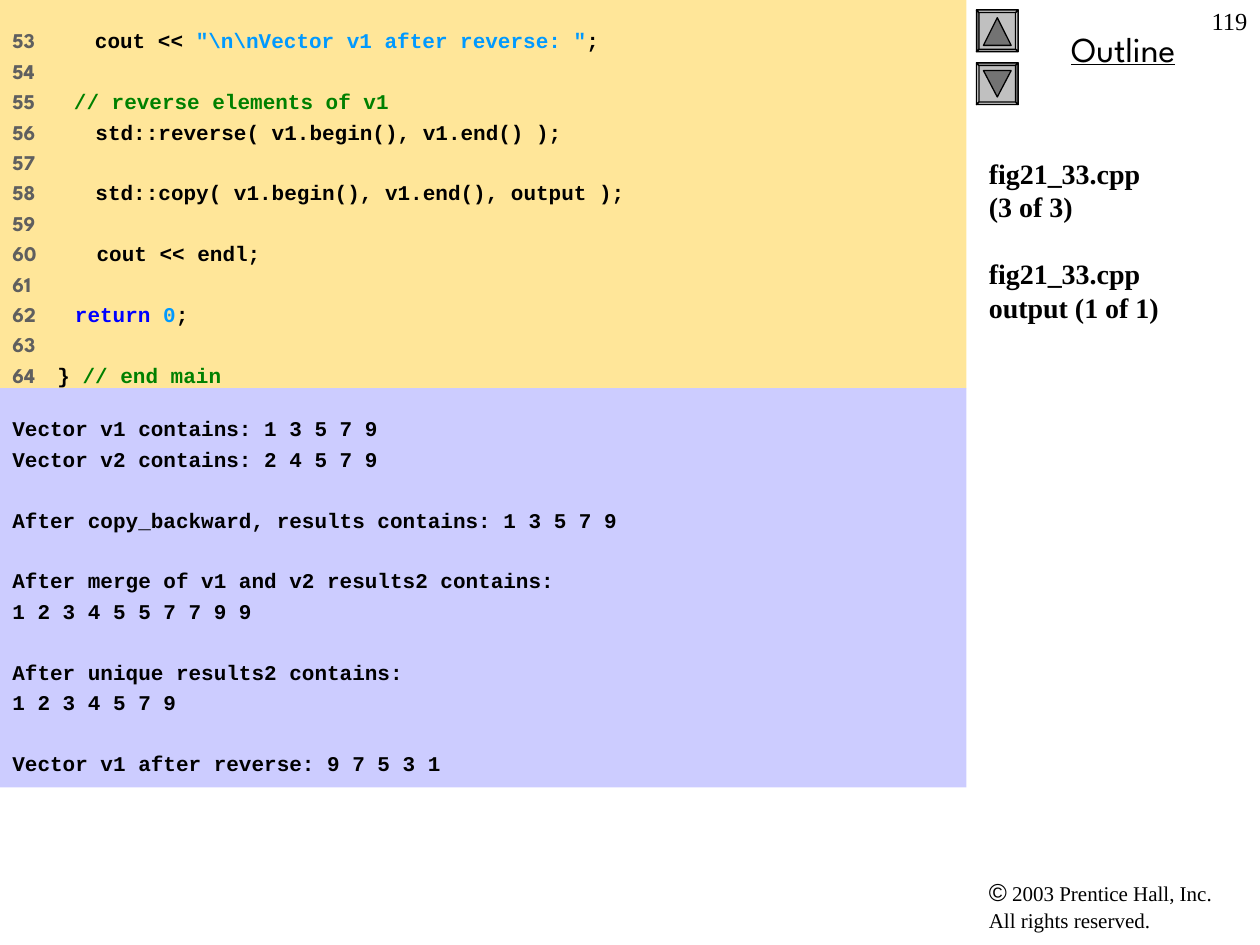
from pptx import Presentation
from pptx.dml.color import RGBColor
from pptx.enum.shapes import MSO_SHAPE
from pptx.enum.text import MSO_ANCHOR, PP_ALIGN
from pptx.util import Inches, Pt

RECT = MSO_SHAPE.RECTANGLE
TOP = MSO_ANCHOR.TOP
LEFT, MID, RIGHT = PP_ALIGN.LEFT, PP_ALIGN.CENTER, PP_ALIGN.RIGHT

BLACK = RGBColor(0x00, 0x00, 0x00)
GRAY = RGBColor(0x5F, 0x5F, 0x5F)
GREEN = RGBColor(0x00, 0x80, 0x00)
BLUE = RGBColor(0x00, 0x00, 0xFF)
SKY = RGBColor(0x00, 0x99, 0xFF)
SAND = RGBColor(0xFF, 0xE6, 0x99)
LILAC = RGBColor(0xCC, 0xCC, 0xFF)
SILVER = RGBColor(0xC0, 0xC0, 0xC0)
DARK = RGBColor(0x73, 0x73, 0x73)
# Bevel shades, clockwise from the lit side
SHADES = (RGBColor(0xD9, 0xD9, 0xD9), RGBColor(0x9A, 0x9A, 0x9A),
          DARK, RGBColor(0xCC, 0xCC, 0xCC))

MONO, SANS, SERIF, HEAD = "Courier New", "Arial", "Times New Roman", "League Spartan"
PITCH = 17.4


def num(text):
    return text, HEAD, GRAY


def code(text, color=BLACK):
    return text, MONO, color


CODE = [
    [num("53    "), code("   cout << "),
     code('"\\n\\nVector v1 after reverse: "', SKY), code(";")],
    [num("54")],
    [num("55       "), code("// reverse elements of v1", GREEN)],
    [num("56    "), code("   std::reverse( v1.begin(), v1.end() );")],
    [num("57")],
    [num("58    "), code("   std::copy( v1.begin(), v1.end(), output );")],
    [num("59")],
    [num("60    "), code("   cout << endl;")],
    [num("61")],
    [num("62       "), code("return ", BLUE), code("0", SKY), code(";")],
    [num("63")],
    [num("64    "), code("} "), code("// end main", GREEN)],
]

# Each group is set off by one empty line
OUTPUT = [
    ["Vector v1 contains: 1 3 5 7 9", "Vector v2 contains: 2 4 5 7 9"],
    ["After copy_backward, results contains: 1 3 5 7 9"],
    ["After merge of v1 and v2 results2 contains:", "1 2 3 4 5 5 7 7 9 9"],
    ["After unique results2 contains:", "1 2 3 4 5 7 9"],
    ["Vector v1 after reverse: 9 7 5 3 1"],
]


class Page:
    def __init__(self, deck):
        self.slide = deck.slides.add_slide(deck.slide_layouts[6])
        self.shapes = self.slide.shapes

    def paint(self, shape, fill, line=None):
        shape.shadow.inherit = False
        shape.fill.solid()
        shape.fill.fore_color.rgb = fill
        if line is None:
            shape.line.fill.background()
        else:
            shape.line.color.rgb = line
            shape.line.width = Pt(0.75)

    def panel(self, *box, fill):
        shape = self.shapes.add_shape(RECT, *map(Inches, box))
        self.paint(shape, fill)
        return shape

    def box(self, *box):
        return self.shapes.add_textbox(*map(Inches, box))

    def text(self, shape, rows, size=12, bold=False, line=False, align=LEFT,
             pad=0.05, pitch=None, gaps=()):
        """Fill a shape with rows of (text, font, colour); gaps lists rows after a blank line."""
        frame = shape.text_frame
        frame.word_wrap = True
        frame.vertical_anchor = TOP
        frame.margin_top = Inches(pad)
        for i, row in enumerate(rows):
            para = frame.paragraphs[0] if i == 0 else frame.add_paragraph()
            para.alignment = align
            if pitch:
                para.line_spacing = Pt(pitch)
            if i in gaps:
                para.space_before = Pt(pitch)
            for words, face, color, *own in row:
                for k, part in enumerate(words.split("\n")):
                    if k:
                        para.add_line_break()
                    run = para.add_run()
                    run.text = part
                    font = run.font
                    font.name, font.bold, font.underline = face, bold, line
                    font.size = Pt(own[0] if own else size)
                    font.color.rgb = color

    def shape(self, points, fill):
        spots = [(Inches(x), Inches(y)) for x, y in points]
        path = self.shapes.build_freeform(*spots[0])
        path.add_line_segments(spots[1:], close=True)
        self.paint(path.convert_to_shape(), fill, BLACK)

    def button(self, x, y, up):
        """Draw a bevelled square with an arrow pointing up or down."""
        side, rim = 0.33, 0.02

        def ring(d):
            a, b = d, side - d
            return [(x + u, y + v) for u, v in ((a, a), (b, a), (b, b), (a, b))]

        outer, inner = ring(0), ring(rim)
        self.shape(outer, SILVER)
        lit = 1 if up else 3
        for i, shade in enumerate(SHADES):
            j = (lit + i) % 4
            k = (j + 1) % 4
            self.shape([outer[j], outer[k], inner[k], inner[j]], shade)
        tip, base = (0.06, 0.28) if up else (0.27, 0.06)
        mid = x + side / 2
        self.shape([(mid, y + tip), (mid + 0.11, y + base), (mid - 0.11, y + base)], DARK)


def main():
    deck = Presentation()
    deck.slide_width, deck.slide_height = Inches(10), Inches(7.5)
    page = Page(deck)

    page.text(page.box(7.75, 6.92, 2.17, 0.54),
              [[("©", SANS, BLACK, 14),
                (" 2003 Prentice Hall, Inc.\nAll rights reserved.", SERIF, BLACK)]],
              pad=0.07, pitch=14.9)
    page.text(page.box(7.83, 0.17, 2.17, 0.44), [[("Outline", HEAD, BLACK)]],
              size=20, line=True, align=MID)
    page.button(7.75, 0.08, up=True)
    page.button(7.75, 0.5, up=False)
    page.text(page.box(9.5, 0, 0.5, 0.5), [[("119", SERIF, BLACK)]],
              size=14, align=RIGHT)
    page.text(page.box(7.75, 0.92, 2.25, 5.25),
              [[("fig21_33.cpp\n(3 of 3)", SERIF, BLACK)],
               [("fig21_33.cpp\noutput (1 of 1)", SERIF, BLACK)]],
              size=16, bold=True, pad=0.32, pitch=19.2, gaps=[1])

    page.text(page.panel(0, 0, 7.67, 3.08, fill=SAND), CODE,
              bold=True, pad=0.18, pitch=PITCH)
    rows, gaps = [], []
    for group in OUTPUT:
        if rows:
            gaps.append(len(rows))
        rows += [[code(words)] for words in group]
    page.text(page.panel(0, 3.08, 7.67, 3.17, fill=LILAC), rows,
              bold=True, pad=0.18, pitch=PITCH, gaps=gaps)

    deck.save("out.pptx")


if __name__ == "__main__":
    main()
